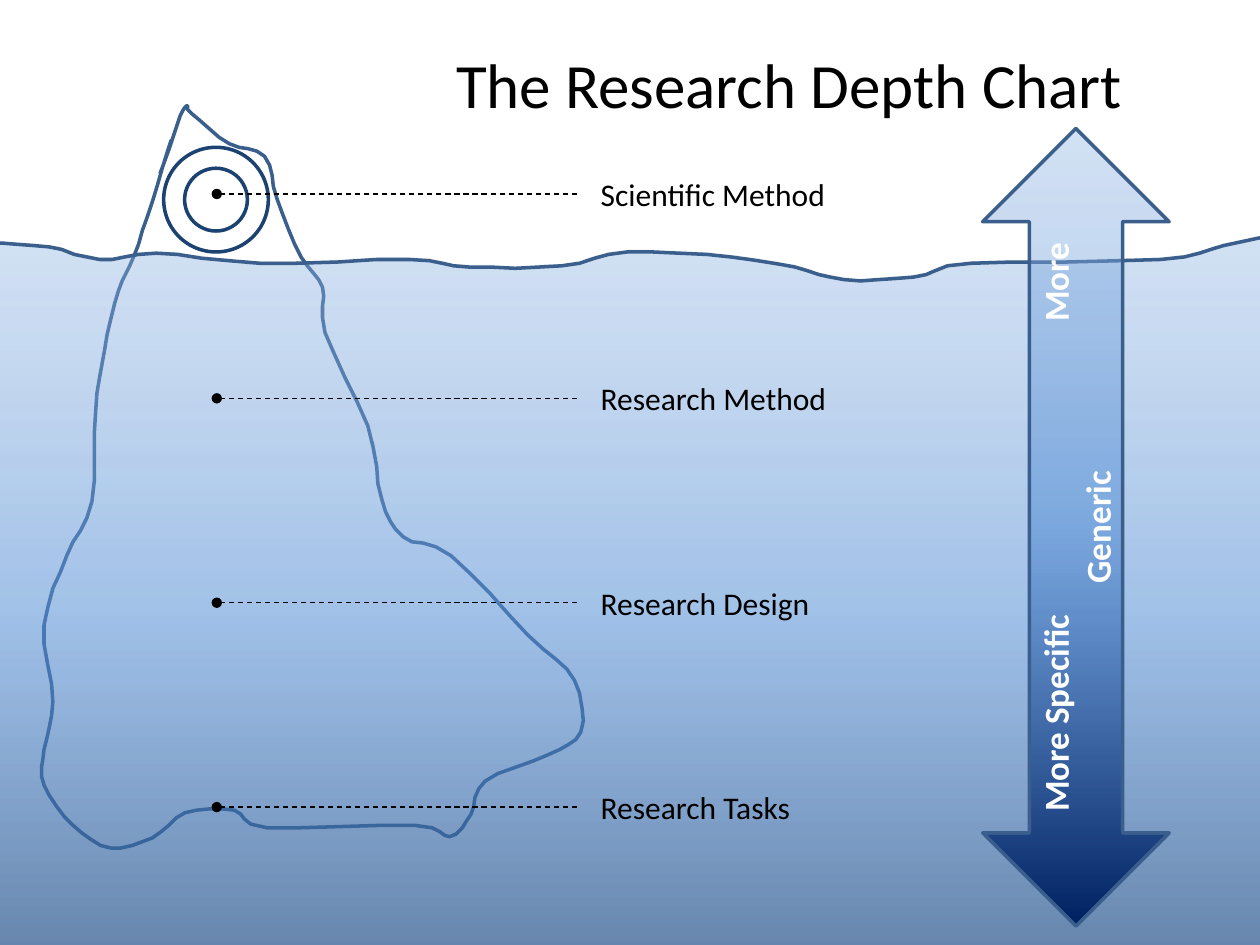
from pptx import Presentation
from pptx.dml.color import RGBColor
from pptx.enum.dml import MSO_LINE as Dash
from pptx.enum.shapes import MSO_CONNECTOR as Conn, MSO_SHAPE as Kind
from pptx.enum.text import MSO_ANCHOR as Anchor, MSO_AUTO_SIZE as Auto, PP_ALIGN as Align
from pptx.oxml.ns import qn
from pptx.util import Cm, Pt
from lxml.etree import SubElement as sub

BLACK = RGBColor(0x00, 0x00, 0x00)
WHITE = RGBColor(0xFF, 0xFF, 0xFF)
EDGE = RGBColor(0x3A, 0x5F, 0x8C)
RING = RGBColor(0x1C, 0x42, 0x71)
DEEP = RGBColor(0x1F, 0x49, 0x7D)
NAVY = RGBColor(0x00, 0x20, 0x60)
MID = RGBColor(0x55, 0x8E, 0xD5)
PALE = RGBColor(0x8E, 0xB4, 0xE3)

UNIT = Cm(2.54) / 100
FADE = [(50, MID, 56), (100, PALE, 38)]
LABELS = [("Scientific Method", 8.25), ("Research Method", 8.5),
          ("Research Design", 9.1), ("Research Tasks", 9.52)]
TOP, STEP = 3.91, 4.12

BERG = [
    (136, 111), (121, 160), (106, 204), (94, 231), (83, 278), (76, 326), (73, 398),
    (53, 441), (35, 496), (42, 557), (35, 595), (35, 623), (58, 655), (88, 673),
    (121, 665), (147, 645), (186, 643), (212, 657), (329, 655), (357, 664), (374, 646),
    (385, 620), (435, 599), (461, 581), (456, 540), (419, 504), (358, 441), (320, 426),
    (303, 396), (292, 338), (258, 264), (256, 228), (239, 204), (220, 158), (210, 124),
    (182, 114), (152, 90), (148, 84), (141, 98), (127, 138)]
WAVES = [
    (-6, 193), (39, 196), (79, 206), (124, 201), (206, 209), (325, 206), (372, 212),
    (446, 211), (498, 200), (580, 204), (631, 212), (670, 222), (725, 220), (771, 209),
    (921, 206), (971, 195), (1024, 185), (1050, 187)]
FLOOR = [(1042, 388), (1058, 790), (630, 804), (377, 808), (-61, 784), (-67, 765), (-34, 450)]


def curve(dots, steps=4):
    ends = [dots[0], *dots, dots[-1]]
    made = [dots[0]]
    for a, b, c, d in zip(ends, ends[1:], ends[2:], ends[3:]):
        for k in range(1, steps + 1):
            t = k / steps
            made.append(tuple(
                q + t * (r - p + t * (2 * p - 5 * q + 4 * r - s + t * (3 * (q - r) + s - p))) / 2
                for p, q, r, s in zip(a, b, c, d)))
    return made


def write(shape, text, size=18, color=BLACK, bold=False, align=Align.LEFT,
          anchor=Anchor.TOP, auto=Auto.SHAPE_TO_FIT_TEXT, tab=None):
    frame = shape.text_frame
    frame.word_wrap = True
    frame.auto_size = auto
    frame.vertical_anchor = anchor
    para = frame.paragraphs[0]
    para.alignment = align
    if tab:
        stops = sub(para._p.get_or_add_pPr(), qn("a:tabLst"))
        sub(stops, qn("a:tab"), pos=str(Cm(tab)), algn="l")
    run = para.add_run()
    run.text = text
    font = run.font
    font.name, font.size, font.bold = "Calibri", Pt(size), bold
    font.color.rgb = color


class Page:
    def __init__(self, slide, width=2):
        self.slide = slide
        self.items = slide.shapes
        self.width = width

    def trim(self, shape, color=EDGE):
        shape.shadow.inherit = False
        shape.line.color.rgb = color
        shape.line.width = Pt(self.width)
        return shape

    def fade(self, shape, stops):
        shape.fill.gradient()
        shape.fill.gradient_angle = 90
        bag = shape._element.spPr.find(qn("a:gradFill")).find(qn("a:gsLst"))
        for old in list(bag):
            bag.remove(old)
        for place, color, alpha in stops:
            stop = sub(bag, qn("a:gs"), pos=str(place * 1000))
            tint = sub(stop, qn("a:srgbClr"), val=str(color))
            sub(tint, qn("a:alpha"), val=str(alpha * 1000))

    def outline(self, dots, close=False):
        pen = self.items.build_freeform(*dots[0], scale=UNIT)
        pen.add_line_segments(dots[1:], close=close)
        shape = self.trim(pen.convert_to_shape())
        shape.fill.background()
        return shape

    def shape(self, kind, x, y, w, h, color=EDGE):
        return self.trim(self.items.add_shape(kind, Cm(x), Cm(y), Cm(w), Cm(h)), color)

    def title(self, text, x, y, w, h):
        head = self.items.title
        head.left, head.top, head.width, head.height = Cm(x), Cm(y), Cm(w), Cm(h)
        write(head, text, size=36)

    def label(self, text, x, y, w, h):
        write(self.items.add_textbox(Cm(x), Cm(y), Cm(w), Cm(h)), text)

    def leader(self, start, end, y):
        link = self.items.add_connector(Conn.STRAIGHT, Cm(start), Cm(y), Cm(end), Cm(y))
        link.line.color.rgb = BLACK
        link.line.width = Pt(0.75)
        link.line.dash_style = Dash.DASH
        sub(link.line._get_or_add_ln(), qn("a:tailEnd"), type="oval")
        sub(link._element.spPr, qn("a:effectLst"))


def main():
    deck = Presentation()
    deck.slide_width, deck.slide_height = Cm(25.4), Cm(19.05)
    page = Page(deck.slides.add_slide(deck.slide_layouts[5]))

    page.outline(curve(BERG))
    page.fade(page.outline(curve(WAVES) + FLOOR, close=True), [(0, DEEP, 74)] + FADE)
    page.title("The Research Depth Chart", 8.94, 0.79, 16.46, 1.8)

    ring = page.shape(Kind.DONUT, 3.3, 2.97, 2.11, 2.11, RING)
    ring.adjustments[0] = 0.2
    ring.fill.solid()
    ring.fill.fore_color.rgb = WHITE

    for row, (text, width) in enumerate(LABELS):
        y = TOP + row * STEP
        page.label(text, 11.86, y - 0.51, width, 1.02)
        page.leader(11.63, 4.37, y)

    arrow = page.shape(Kind.UP_DOWN_ARROW, 19.81, 2.59, 3.76, 16.08)
    page.fade(arrow, [(0, NAVY, 100)] + FADE)
    frame = arrow.text_frame
    frame.margin_top = frame.margin_bottom = Cm(0.76)
    frame._txBody.bodyPr.set("vert", "vert270")
    write(arrow, "More Specific\tMore Generic", size=20, color=WHITE, bold=True,
          align=Align.CENTER, anchor=Anchor.MIDDLE, auto=Auto.NONE, tab=9.88)

    deck.save("out.pptx")


if __name__ == "__main__":
    main()
